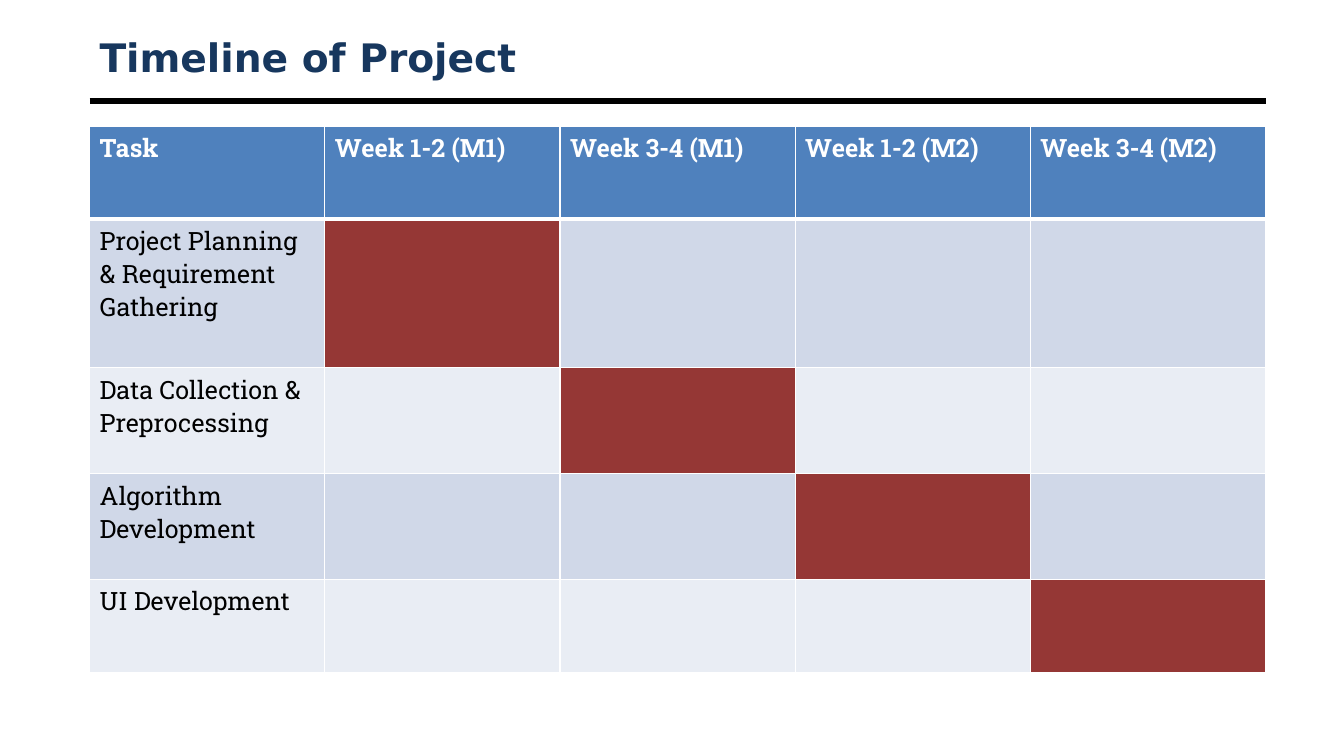
from lxml.etree import SubElement
from pptx import Presentation
from pptx.dml.color import RGBColor
from pptx.enum.shapes import MSO_CONNECTOR
from pptx.enum.text import MSO_ANCHOR
from pptx.oxml.ns import qn
from pptx.util import Pt

COLORS = {
    "title": "17375E",
    "rule": "000000",
    "head": "4F81BD",
    "odd": "D0D8E8",
    "even": "E9EDF4",
    "active": "953735",
    "border": "FFFFFF",
    "light": "FFFFFF",
    "dark": "000000",
}
LEFT, WIDTH = 64, 840
WEEKS = ["Week 1-2 (M1)", "Week 3-4 (M1)", "Week 1-2 (M2)", "Week 3-4 (M2)"]
TASKS = [
    "Project Planning & Requirement Gathering",
    "Data Collection & Preprocessing",
    "Algorithm Development",
    "UI Development",
]
HEIGHTS = [66.24, 106.56, 75.6, 75.6, 66.24]


def color(name):
    return RGBColor.from_string(COLORS[name])


def style(para, face, size, tone, bold):
    font = para.font
    font.name, font.size, font.bold = face, Pt(size), bold
    font.color.rgb = color(tone)


def add_title(slide, text):
    box = slide.shapes.add_textbox(Pt(LEFT), Pt(21.6), Pt(WIDTH), Pt(38.16))
    frame = box.text_frame
    frame.word_wrap = True
    frame.vertical_anchor = MSO_ANCHOR.MIDDLE
    frame.text = text
    style(frame.paragraphs[0], "DejaVu Sans", 28, "title", True)


def add_rule(slide, top):
    line = slide.shapes.add_connector(
        MSO_CONNECTOR.STRAIGHT, Pt(LEFT), Pt(top), Pt(LEFT + WIDTH), Pt(top))
    line.line.color.rgb = color("rule")
    line.line.width = Pt(4.5)
    SubElement(line._element.spPr, qn("a:effectLst"))


def add_borders(cell, top, bottom):
    """Draw all four cell borders; top and bottom are widths in points."""
    props = cell._tc.get_or_add_tcPr()
    for side, width in (("L", 1), ("R", 1), ("T", top), ("B", bottom)):
        edge = SubElement(props, qn(f"a:ln{side}"), w=str(Pt(width)))
        fill = SubElement(edge, qn("a:solidFill"))
        SubElement(fill, qn("a:srgbClr"), val=COLORS["border"])


def fill_cell(cell, text, row, col):
    head = row == 0
    add_borders(cell, 3 if row == 1 else 1, 3 if head else 1)
    if head:
        tone = "head"
    elif row == col:
        tone = "active"
    else:
        tone = "odd" if row % 2 else "even"
    cell.fill.solid()
    cell.fill.fore_color.rgb = color(tone)
    cell.text = text
    style(cell.text_frame.paragraphs[0], "Roboto Slab", 18,
          "light" if head else "dark", head)


def add_plan(slide):
    """Add the schedule, where each task takes the next pair of weeks."""
    rows = [["Task", *WEEKS]] + [[task] + [""] * len(WEEKS) for task in TASKS]
    count = len(rows[0])
    table = slide.shapes.add_table(
        len(rows), count, Pt(LEFT), Pt(90), Pt(WIDTH), Pt(sum(HEIGHTS))).table
    for column in table.columns:
        column.width = Pt(WIDTH / count)
    for r, texts in enumerate(rows):
        table.rows[r].height = Pt(HEIGHTS[r])
        for c, text in enumerate(texts):
            fill_cell(table.cell(r, c), text, r, c)


def main():
    deck = Presentation()
    deck.slide_width, deck.slide_height = Pt(960), Pt(540)
    slide = deck.slides.add_slide(deck.slide_layouts[6])
    add_rule(slide, 72)
    add_title(slide, "Timeline of Project")
    add_plan(slide)
    deck.save("out.pptx")


if __name__ == "__main__":
    main()
